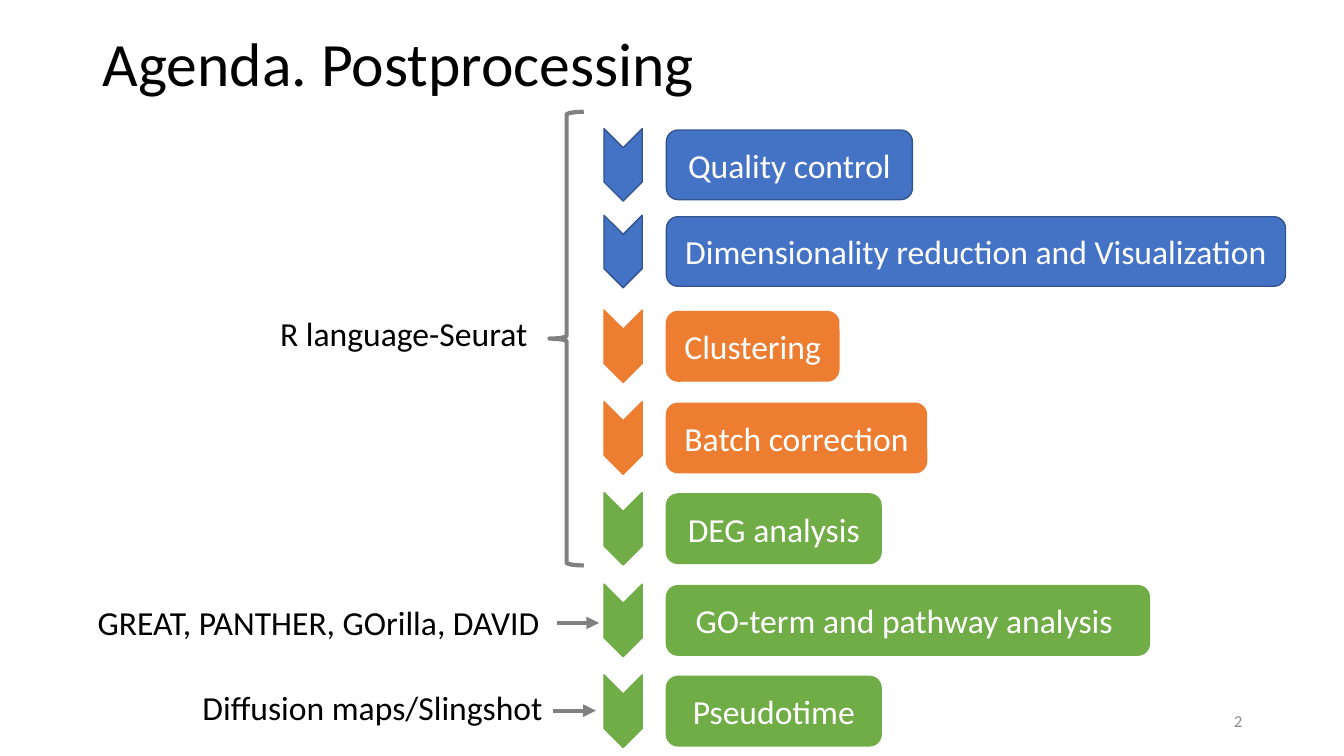
from dataclasses import dataclass

from lxml import etree
from pptx import Presentation
from pptx.dml.color import RGBColor
from pptx.enum.shapes import MSO_CONNECTOR, MSO_SHAPE
from pptx.enum.text import MSO_ANCHOR, MSO_AUTO_SIZE, PP_ALIGN
from pptx.oxml.ns import qn
from pptx.util import Pt

CHEVRON, ROUNDED, BRACE = MSO_SHAPE.CHEVRON, MSO_SHAPE.ROUNDED_RECTANGLE, MSO_SHAPE.LEFT_BRACE
STRAIGHT = MSO_CONNECTOR.STRAIGHT
LEFT, CENTER, RIGHT = PP_ALIGN.LEFT, PP_ALIGN.CENTER, PP_ALIGN.RIGHT
TOP, MIDDLE = MSO_ANCHOR.TOP, MSO_ANCHOR.MIDDLE


@dataclass(frozen=True)
class Theme:
    font: str = "Calibri"
    black: str = "000000"
    white: str = "FFFFFF"
    gray: str = "808080"
    number_gray: str = "8C8C8C"
    blue: tuple = ("4472C4", "325491")
    orange: tuple = ("ED7D31", "ED7D31")
    green: tuple = ("70AD47", "70AD47")
    title_size: int = 44
    body_size: int = 24
    number_size: int = 12
    outline: int = 1
    marker: int = 3


THEME = Theme()
TITLE = "Agenda. Postprocessing"
PAGE_NUMBER = "2"
STEPS = [
    ("Quality control", 129, 244, THEME.blue),
    ("Dimensionality reduction and Visualization", 215, 614, THEME.blue),
    ("Clustering", 309, 171, THEME.orange),
    ("Batch correction", 400, 258, THEME.orange),
    ("DEG analysis", 490, 213, THEME.green),
    ("GO-term and pathway analysis ", 581, 479, THEME.green),
    ("Pseudotime", 671, 213, THEME.green),
]
TOOLS = [
    ("R language-Seurat", 268, 306, 268),
    ("GREAT, PANTHER, GOrilla, DAVID", 87, 592, 463),
    ("Diffusion maps/Slingshot", 191, 677, 376),
]
TOOL_ARROWS = [(552, 594, 618), (548, 591, 705)]

STEP_LEFT, STEP_HEIGHT = 661, 69
CHEVRON_LEFT, CHEVRON_LENGTH, CHEVRON_THICKNESS = 582, 72, 38
TOOL_HEIGHT = 50


def px(*lengths):
    return [round(length * 9144) for length in lengths]


def rgb(value):
    return RGBColor.from_string(value)


def write(shape, text, size=THEME.body_size, color=THEME.black,
          align=LEFT, anchor=TOP, wrap=True, spacing=None):
    frame = shape.text_frame
    frame.auto_size = MSO_AUTO_SIZE.NONE
    frame.word_wrap = wrap
    frame.vertical_anchor = anchor
    frame.text = text
    paragraph = frame.paragraphs[0]
    paragraph.alignment = align
    paragraph.line_spacing = spacing
    font = paragraph.runs[0].font
    font.name, font.size, font.color.rgb = THEME.font, Pt(size), rgb(color)


def stroke(part, color, width):
    part.line.color.rgb = rgb(color)
    part.line.width = Pt(width)


def add_part(slide, kind, box, colors):
    fill, line = colors
    part = slide.shapes.add_shape(kind, *px(*box))
    part.shadow.inherit = False
    if fill:
        part.fill.solid()
        part.fill.fore_color.rgb = rgb(fill)
    else:
        part.fill.background()
    stroke(part, line, THEME.outline if fill else THEME.marker)
    return part


def add_arrow(slide, start, end, y):
    arrow = slide.shapes.add_connector(STRAIGHT, *px(start, y, end, y))
    stroke(arrow, THEME.gray, THEME.marker)
    etree.SubElement(arrow.line._get_or_add_ln(), qn("a:tailEnd"), type="triangle")
    etree.SubElement(arrow._element.spPr, qn("a:effectLst"))


def main():
    deck = Presentation()
    deck.slide_width, deck.slide_height = px(1333, 750)
    slide = deck.slides.add_slide(deck.slide_layouts[5])

    title = slide.shapes.title
    title.left, title.top, title.width, title.height = px(92, -6, 1150, 145)
    write(title, TITLE, size=THEME.title_size, anchor=MIDDLE, spacing=0.9)

    for step, top, width, colors in STEPS:
        chevron_top = top + (STEP_HEIGHT - CHEVRON_THICKNESS) / 2
        chevron = add_part(slide, CHEVRON, (CHEVRON_LEFT, chevron_top,
                                            CHEVRON_LENGTH, CHEVRON_THICKNESS), colors)
        chevron.rotation = 90
        step_box = add_part(slide, ROUNDED, (STEP_LEFT, top, width, STEP_HEIGHT), colors)
        write(step_box, step, color=THEME.white, align=CENTER, anchor=MIDDLE)

    for tool, left, top, width in TOOLS:
        label = slide.shapes.add_textbox(*px(left, top, width, TOOL_HEIGHT))
        write(label, tool, wrap=False)

    add_part(slide, BRACE, (545, 111, 34, 450), (None, THEME.gray))
    for start, end, y in TOOL_ARROWS:
        add_arrow(slide, start, end, y)

    page_number = slide.shapes.add_textbox(*px(942, 695, 300, 40))
    write(page_number, PAGE_NUMBER, size=THEME.number_size, color=THEME.number_gray,
          align=RIGHT, anchor=MIDDLE)

    deck.save("out.pptx")


if __name__ == "__main__":
    main()
